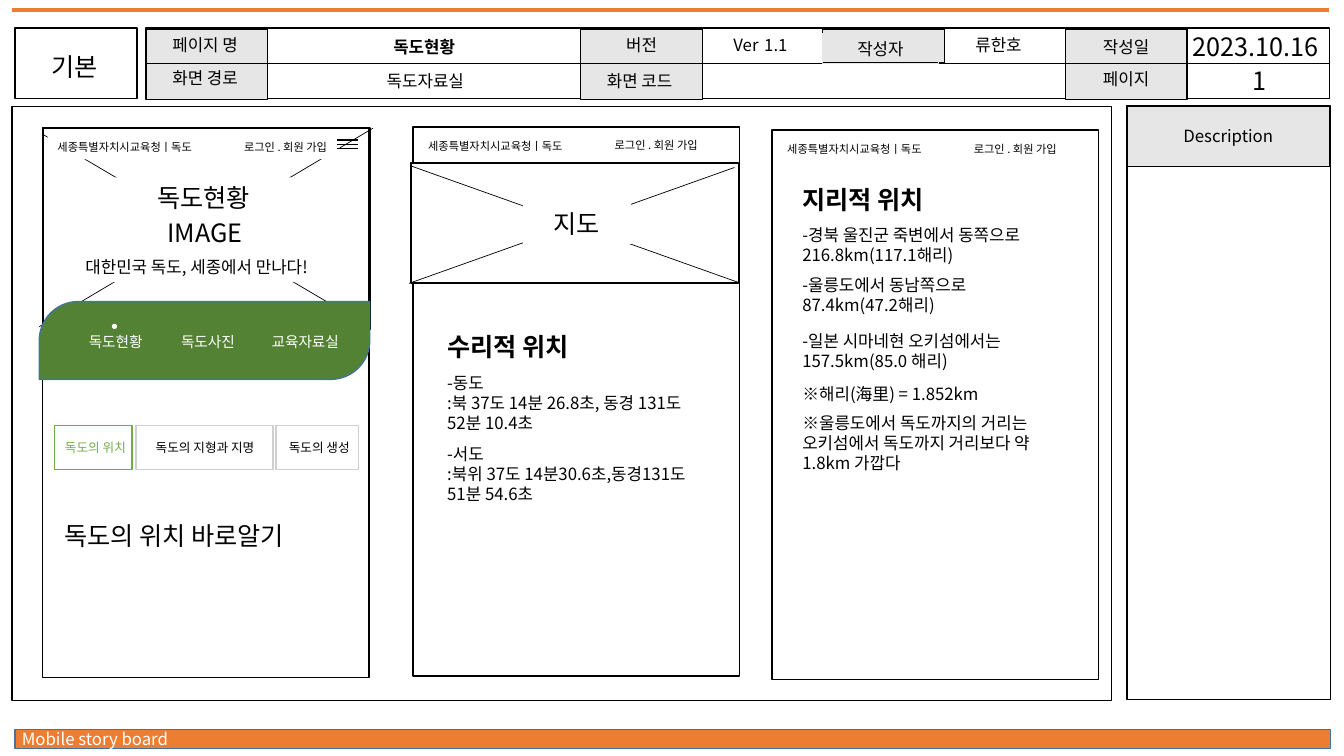
import lxml.etree
import pptx
import pptx.dml.color
import pptx.enum.shapes
import pptx.enum.text
import pptx.oxml.ns
import pptx.util

Cm, Pt = pptx.util.Cm, pptx.util.Pt
SHAPE = pptx.enum.shapes.MSO_SHAPE
ALIGN = pptx.enum.text.PP_ALIGN
FONT = "Noto Sans CJK KR"
COLORS = {
    "black": "000000", "white": "FFFFFF", "orange": "ED7D31", "blue": "43739E",
    "label": "E7E6E6", "green": "548235", "active": "70AD47", "tab": "D0CECE",
}


def rgb(color):
    """Return the named colour."""
    return pptx.dml.color.RGBColor.from_string(COLORS[color])


def style_run(run, size, color="black", bold=False):
    """Format one run, for Latin and Korean letters alike."""
    run.font.size = Pt(size)
    run.font.bold = bold
    run.font.name = FONT
    run.font.color.rgb = rgb(color)
    ea = lxml.etree.SubElement(run.font._element, pptx.oxml.ns.qn("a:ea"))
    ea.set("typeface", FONT)


def fill_text(shape, words, size=12, align=ALIGN.CENTER, color="black", bold=False):
    """Write the words, one paragraph a line, and format them."""
    frame = shape.text_frame
    frame.text = words
    frame.word_wrap = True
    frame.auto_size = pptx.enum.text.MSO_AUTO_SIZE.NONE
    frame.vertical_anchor = pptx.enum.text.MSO_ANCHOR.TOP
    for paragraph in frame.paragraphs:
        paragraph.alignment = align
        paragraph.line_spacing = Pt(size * 1.2)
        for run in paragraph.runs:
            style_run(run, size, color, bold)


class Region:
    """A box on the slide whose parts are placed from its top left corner."""

    def __init__(self, slide, left, top, width, height):
        self.slide, self.left, self.top = slide, left, top
        self.width, self.height = width, height

    def place(self, left, top, width, height):
        """Return slide lengths for a box inside the region."""
        return Cm(self.left + left), Cm(self.top + top), Cm(width), Cm(height)

    def box(self, left, top, width, height, fill=None, line="black", weight=1,
            kind=SHAPE.RECTANGLE):
        """Add a preset shape."""
        shape = self.slide.shapes.add_shape(kind, *self.place(left, top, width, height))
        shape.shadow.inherit = False
        if fill:
            shape.fill.solid()
            shape.fill.fore_color.rgb = rgb(fill)
        else:
            shape.fill.background()
        if line:
            shape.line.color.rgb = rgb(line)
            shape.line.width = Pt(weight)
        else:
            shape.line.fill.background()
        return shape

    def frame(self, fill=None, line="black"):
        """Outline the whole region."""
        return self.box(0, 0, self.width, self.height, fill, line)

    def text(self, words, left, top, width, height=0.76, fill=None, **style):
        """Add a text box."""
        label = self.slide.shapes.add_textbox(*self.place(left, top, width, height))
        if fill:
            label.fill.solid()
            label.fill.fore_color.rgb = rgb(fill)
        fill_text(label, words, **style)
        return label

    def line(self, x1, y1, x2, y2, weight=0.5, color="black"):
        """Add a straight line."""
        rule = self.slide.shapes.add_connector(
            pptx.enum.shapes.MSO_CONNECTOR.STRAIGHT,
            *self.place(x1, y1, 0, 0)[:2], *self.place(x2, y2, 0, 0)[:2])
        rule.line.color.rgb = rgb(color)
        rule.line.width = Pt(weight)
        lxml.etree.SubElement(rule._element.spPr, pptx.oxml.ns.qn("a:effectLst"))


def draw_header(header):
    """Draw the page information grid."""
    header.box(0, 0, 3.07, header.height)
    header.box(3.3, 0, 29.82, header.height)
    for left, height in ((3.3, 1.78), (14.25, 1.78), (20.35, 0.86), (26.47, 1.78)):
        header.box(left, 0.02, 3.07, height, "label")
    header.line(3.3, 0.89, 33.12, 0.89)
    header.text("기본", 0.05, 0.46, 2.92, 1.07, size=18)
    for words, left, top, width in (
            ("페이지 명", 3.33, 0.03, 2.92), ("화면 경로", 3.33, 0.86, 2.92),
            ("버전", 14.33, 0.05, 2.92), ("화면 코드", 14.28, 0.94, 2.92),
            ("작성일", 26.54, 0.1, 2.92), ("페이지", 26.54, 0.89, 2.92),
            ("류한호", 22.23, 0.05, 5.11), ("독도자료실", 7.42, 0.94, 5.84)):
        header.text(words, left, top, width)
    fill_text(header.box(20.35, 0.13, 2.92, 0.76, None, "label", 0.75), "작성자")
    header.text("2023.10.16", 28.7, -0.05, 5.11, 1.02, size=18)
    header.text("1", 29.59, 0.81, 3.53, 1.02, size=18)
    version = header.text("Ver", 16.23, -0.18, 5.11, 1.02).text_frame.paragraphs[0]
    version.line_spacing = Pt(21.6)
    for words, size in ((" ", 18), ("1.1", 12)):
        run = version.add_run()
        run.text = words
        style_run(run, size)
    page_name = header.slide.shapes.title
    page_name.left, page_name.top, page_name.width, page_name.height = header.place(
        7.39, 0.08, 5.84, 0.76)
    fill_text(page_name, "독도현황", bold=True)


def draw_app_bar(phone, fill=None):
    """Draw the site name and member links at the top of a phone."""
    phone.text("세종특별자치시교육청ㅣ독도", 0.13, 0.18, 4.75, 0.61, fill, size=8, align=ALIGN.LEFT)
    phone.text("로그인 . 회원 가입 ", 4.34, 0.17, 3.15, 0.61, fill, size=8, align=ALIGN.RIGHT)


def draw_home(phone):
    """Draw the first phone: hero image, menu and tabs."""
    phone.box(0.03, 0, 8.23, 5.08, "white")
    phone.frame()
    phone.line(-0.08, 5, 8.33, 0)
    phone.line(8.23, 5, 0, 0.15)
    draw_app_bar(phone, "white")
    for top in (0.3, 0.41, 0.51):
        phone.line(7.42, top, 7.95, top, 1)
    phone.text("IMAGE", 2.74, 2.11, 2.72, 1.02, "white", size=18)
    phone.text("대한민국 독도, 세종에서 만나다!", 0.28, 3.12, 7.21, 0.76, "white")
    phone.text("독도현황", 1.75, 1.24, 4.62, 1.02, "white", size=18)
    menu = phone.box(-0.08, 4.37, 8.33, 1.96, "green", "blue",
                     kind=SHAPE.ROUND_2_DIAG_RECTANGLE)
    menu.adjustments[0], menu.adjustments[1] = 0.5, 0
    for words, left, width in (
            ("독도현황", 0.64, 2.41), ("독도사진", 2.67, 3), ("교육자료실", 5, 3.25)):
        phone.text(words, left, 5.04, width, 0.74, size=10.5, color="white")
    phone.box(1.75, 4.93, 0.13, 0.13, "white", None, kind=SHAPE.OVAL)
    for words, left, width, text_left, text_width, line, color in (
            ("독도의 위치", 0.3, 1.96, 0.08, 2.51, "active", "active"),
            ("독도의 지형과 지명", 2.36, 3.45, 2.29, 3.61, "tab", "black"),
            ("독도의 생성", 5.89, 2.08, 5.72, 2.51, "tab", "black")):
        phone.box(left, 7.49, width, 1.12, None, line)
        phone.text(words, text_left, 7.74, text_width, 0.64, size=9, color=color)
    phone.text("독도의 위치 바로알기", 0.3, 9.75, 7.65, 1.02, size=18, align=ALIGN.LEFT)


def draw_article(phone, heading, left, top, notes):
    """Draw a bold heading and the notes under it."""
    phone.text(heading, left, top, 6.86, 1.02, size=18, align=ALIGN.LEFT, bold=True)
    for words, note_top, height in notes:
        phone.text(words, left, note_top, 6.86, height, align=ALIGN.LEFT)


def draw_map(phone):
    """Draw the second phone: map and coordinates."""
    phone.frame()
    draw_app_bar(phone)
    phone.box(-0.05, 0.91, 8.26, 3.02, "white")
    phone.line(-0.1, 3.94, 8.1, 1.02)
    phone.line(8.18, 3.91, -0.03, 0.99)
    phone.text("지도", 2.77, 1.93, 2.72, 1.02, "white", size=18)
    draw_article(phone, "수리적 위치", 0.61, 5.03, (
        ("-동도\n:북 37도 14분 26.8초, 동경 131도 52분 10.4초", 6.07, 1.8),
        ("-서도\n:북위 37도 14분30.6초,동경131도 51분 54.6초", 7.85, 1.8)))


def draw_distances(phone):
    """Draw the third phone: distances to the island."""
    phone.frame()
    draw_app_bar(phone)
    draw_article(phone, "지리적 위치", 0.51, 1.24, (
        ("-경북 울진군 죽변에서 동쪽으로 216.8km(117.1해리)", 2.26, 1.27),
        ("-울릉도에서 동남쪽으로 87.4km(47.2해리)", 3.51, 1.27),
        ("-일본 시마네현 오키섬에서는 157.5km(85.0 해리)", 4.93, 1.27),
        ("※해리(海里) = 1.852km", 6.27, 0.76),
        ("※울릉도에서 독도까지의 거리는 오키섬에서 독도까지 거리보다 약 1.8km 가깝다", 6.99, 1.8)))


def draw_description(panel):
    """Draw the empty description column."""
    panel.frame()
    panel.box(0, 0, 5.11, 1.52, "label")
    panel.text("Description", 0.36, 0.38, 4.39)


def draw_footer(footer):
    """Draw the coloured strip at the foot."""
    footer.frame("orange", "blue")
    footer.text("Mobile story board", -0.08, -0.15, 8.13, align=ALIGN.LEFT, color="white")


def main():
    """Build and save the storyboard."""
    deck = pptx.Presentation()
    deck.slide_width, deck.slide_height = Cm(33.87), Cm(19.05)
    slide = deck.slides.add_slide(deck.slide_layouts[5])
    Region(slide, 0.3, 0.25, 33.2, 0).line(0, 0, 33.2, 0, 3, "orange")
    draw_footer(Region(slide, 0.38, 18.39, 33.15, 0.48))
    Region(slide, 0.3, 2.69, 27.71, 14.96).frame()
    draw_header(Region(slide, 0.38, 0.71, 33.12, 1.78))
    draw_description(Region(slide, 28.4, 2.67, 5.13, 14.96))
    for draw, left, top in (
            (draw_home, 1.07, 3.23), (draw_map, 10.41, 3.2), (draw_distances, 19.46, 3.28)):
        draw(Region(slide, left, top, 8.23, 13.84))
    deck.save("out.pptx")


main()
